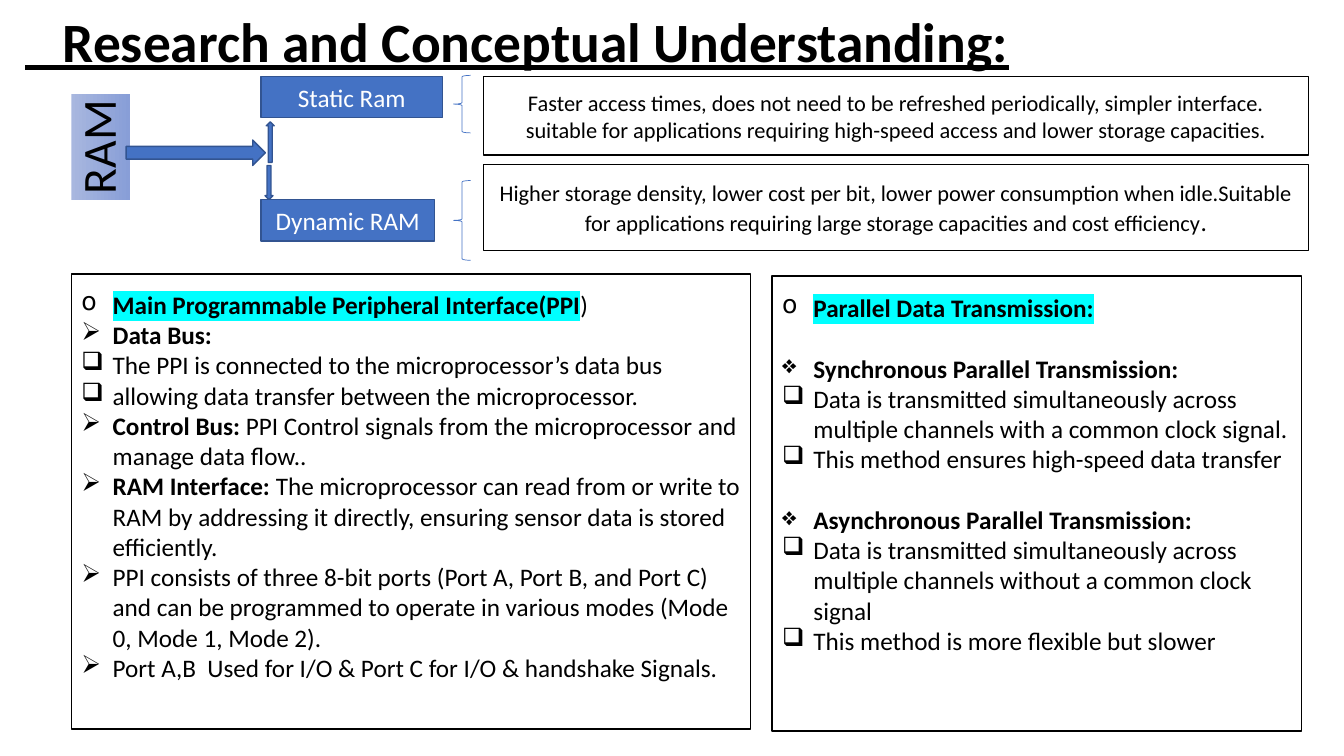
"""Build the slide on RAM types, the peripheral interface and parallel data transmission."""
from lxml import etree
from pptx import Presentation
from pptx import util as u
from pptx.dml.color import RGBColor
from pptx.enum import shapes, text
from pptx.oxml import ns

BLACK = RGBColor(0x00, 0x00, 0x00)
WHITE = RGBColor(0xFF, 0xFF, 0xFF)
BLUE = RGBColor(0x44, 0x72, 0xC4)
DARK_BLUE = RGBColor(0x32, 0x54, 0x91)
PALE_BLUE = RGBColor(0xA8, 0xB7, 0xDF)
MID_BLUE = RGBColor(0x88, 0x9E, 0xD7)
CYAN = RGBColor(0x00, 0xFF, 0xFF)
KIND = shapes.MSO_SHAPE
CIRCLE, ARROW, SQUARE, DIAMOND = "o", "➢", "❑", "❖"


def add_box(kind, place, fill, line, weight=1):
    """Add a shape at (left, top, width, height) in centimetres."""
    box = page.shapes.add_shape(kind, *[u.Cm(length) for length in place])
    box.shadow.inherit = False
    if fill is None:
        box.fill.background()
    else:
        box.fill.solid()
        box.fill.fore_color.rgb = fill
    if line is None:
        box.line.fill.background()
    else:
        box.line.color.rgb = line
        box.line.width = u.Pt(weight)
    box.text_frame.word_wrap = True
    return box


def style(para, size, color, align=text.PP_ALIGN.CENTER):
    """Set the font and alignment of a whole paragraph."""
    para.alignment = align
    para.font.name = "Calibri"
    para.font.size = u.Pt(size)
    para.font.color.rgb = color


deck = Presentation()
deck.slide_width, deck.slide_height = u.Cm(33.87), u.Cm(19.05)
page = deck.slides.add_slide(deck.slide_layouts[5])

title = page.shapes.title
title.left, title.top, title.width, title.height = u.Cm(0.38), u.Cm(0.41), u.Cm(32.61), u.Cm(1.4)
title.text_frame.text = "   Research and Conceptual Understanding:"
title.text_frame.auto_size = text.MSO_AUTO_SIZE.NONE
title.text_frame.vertical_anchor = text.MSO_ANCHOR.MIDDLE
heading = title.text_frame.paragraphs[0]
style(heading, 39.6, BLACK, text.PP_ALIGN.LEFT)
heading.line_spacing = 0.9
heading.font.bold = heading.font.underline = True

ram = add_box(KIND.RECTANGLE, (1.19, 2.97, 2.69, 1.47), PALE_BLUE, None)
ram.rotation = 270
ram.fill.gradient()
ram.fill.gradient_angle = 270
for stop, color in zip(ram.fill.gradient_stops, (PALE_BLUE, MID_BLUE)):
    stop.color.rgb = color
frame = ram.text_frame
frame.margin_left = frame.margin_right = frame.margin_top = frame.margin_bottom = u.Cm(0.05)
frame.text = "RAM"
style(frame.paragraphs[0], 34, BLACK)
frame.paragraphs[0].line_spacing = 0.9

add_box(KIND.RIGHT_ARROW, (3.18, 3.53, 3.51, 0.64), BLUE, DARK_BLUE)
add_box(KIND.DOWN_ARROW, (6.68, 4.17, 0.2, 0.86), BLUE, DARK_BLUE)
add_box(KIND.DOWN_ARROW, (6.71, 3.07, 0.2, 1.02), BLUE, DARK_BLUE).rotation = 180
for top, height in ((1.9, 1.45), (4.55, 2.01)):
    add_box(KIND.LEFT_BRACE, (11.43, top, 0.43, height), None, BLUE, 0.5)

labels = [
    ((6.58, 1.93, 4.57, 1.04), BLUE, DARK_BLUE, 18, WHITE, "Static Ram"),
    ((6.58, 5.03, 4.37, 1.04), BLUE, DARK_BLUE, 18, WHITE, "Dynamic RAM"),
    ((12.19, 1.93, 20.78, 1.98), WHITE, BLACK, 16, BLACK,
     "Faster access times, does not need to be refreshed periodically, simpler interface. "
     "suitable for applications requiring high-speed access and lower storage capacities."),
    ((12.19, 4.14, 20.78, 2.18), WHITE, BLACK, 16, BLACK,
     "Higher storage density, lower cost per bit, lower power consumption when idle."
     "Suitable for applications requiring large storage capacities and cost efficiency"),
]
for place, fill, line, size, color, words in labels:
    label = add_box(KIND.RECTANGLE, place, fill, line)
    label.text_frame.text = words
    style(label.text_frame.paragraphs[0], size, color)
full_stop = label.text_frame.paragraphs[0].add_run()
full_stop.text = "."
full_stop.font.size = u.Pt(18)

# each item: bullet, space before in points, bold words, plain words
panels = [
    ((1.8, 6.91, 17.12, 11.46), 0.38, [
        (CIRCLE, 0, "Main Programmable Peripheral Interface(PPI", ")"),
        (ARROW, 0, "Data Bus:", ""),
        (SQUARE, 0, "", "The PPI is connected to the microprocessor’s data bus"),
        (SQUARE, 0, "", "allowing data transfer between the microprocessor."),
        (ARROW, 0, "Control Bus: ",
         "PPI Control signals from the microprocessor and manage data flow.."),
        (ARROW, 0, "RAM Interface:",
         " The microprocessor can read from or write to RAM by addressing it directly, "
         "ensuring sensor data is stored efficiently."),
        (ARROW, 0, "", "PPI consists of three 8-bit ports (Port A, Port B, and Port C) and can be "
         "programmed to operate in various modes (Mode 0, Mode 1, Mode 2)."),
        (ARROW, 0, "", "Port A,B  Used for I/O & Port C for I/O & handshake Signals."),
    ]),
    ((19.46, 6.96, 13.34, 11.46), 0.41, [
        (CIRCLE, 0, "Parallel Data Transmission:", ""),
        (DIAMOND, 21.6, "Synchronous Parallel Transmission:", ""),
        (SQUARE, 0, "", "Data is transmitted simultaneously across multiple channels "
         "with a common clock signal."),
        (SQUARE, 0, "", "This method ensures high-speed data transfer"),
        (DIAMOND, 21.6, "Asynchronous Parallel Transmission:", ""),
        (SQUARE, 0, "", "Data is transmitted simultaneously across multiple channels "
         "without a common clock signal"),
        (SQUARE, 0, "", "This method is more flexible but slower"),
    ]),
]
for place, inset, items in panels:
    frame = add_box(KIND.RECTANGLE, place, WHITE, BLACK).text_frame
    frame.vertical_anchor = text.MSO_ANCHOR.TOP
    frame.margin_top = u.Cm(inset)
    for number, (bullet, gap, strong, plain) in enumerate(items):
        para = frame.add_paragraph() if number else frame.paragraphs[0]
        style(para, 18, BLACK, text.PP_ALIGN.LEFT)
        para.space_before = u.Pt(gap)
        layout = para._p.get_or_add_pPr()
        layout.set("marL", str(u.Cm(0.79)))
        layout.set("indent", str(-u.Cm(0.79)))
        mark = etree.Element(ns.qn("a:buChar"), char=bullet)
        layout.find(ns.qn("a:defRPr")).addprevious(mark)
        for words, bold in ((strong, True), (plain, False)):
            if words:
                span = para.add_run()
                span.text = words
                span.font.bold = bold
                if bold and bullet == CIRCLE:
                    highlight = etree.SubElement(span._r.get_or_add_rPr(), ns.qn("a:highlight"))
                    etree.SubElement(highlight, ns.qn("a:srgbClr"), val=str(CYAN))

deck.save("out.pptx")
